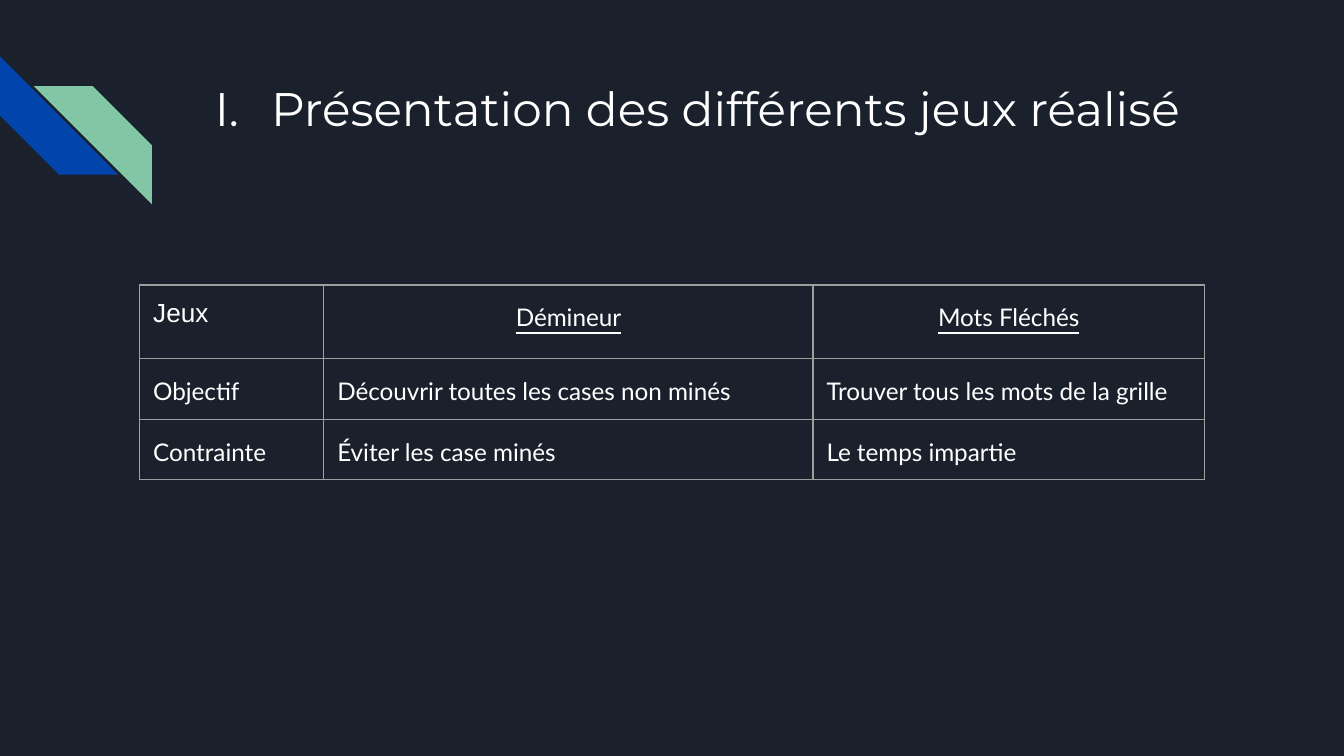
import pptx
import pptx.util
import pptx.dml.color
import pptx.enum.shapes
import pptx.enum.text
import pptx.oxml
import pptx.oxml.ns

Inches = pptx.util.Inches
COLORS = {
    "background": "1B212C",
    "blue": "0145AC",
    "green": "82C7A5",
    "text": "FFFFFF",
    "border": "9E9E9E",
}


def rgb(name):
    return pptx.dml.color.RGBColor.from_string(COLORS[name])


def style_font(paragraph, name, size):
    paragraph.font.name = name
    paragraph.font.size = pptx.util.Pt(size)
    paragraph.font.color.rgb = rgb("text")


presentation = pptx.Presentation()
presentation.slide_width = Inches(10)
presentation.slide_height = Inches(10 * 9 / 16)
slide = presentation.slides.add_slide(presentation.slide_layouts[6])
slide.background.fill.solid()
slide.background.fill.fore_color.rgb = rgb("background")

for left, top, rotation, color in [(0, 0.42, 270, "blue"), (0.25, 0.64, 90, "green")]:
    stripe = slide.shapes.add_shape(
        pptx.enum.shapes.MSO_SHAPE.DIAGONAL_STRIPE,
        Inches(left), Inches(top), Inches(0.88), Inches(0.88))
    stripe.rotation = rotation
    stripe.adjustments[0] = 0.5
    stripe.shadow.inherit = False
    stripe.fill.solid()
    stripe.fill.fore_color.rgb = rgb(color)
    stripe.line.fill.background()

title = slide.shapes.add_textbox(Inches(1.42), Inches(0.43), Inches(7.7), Inches(1))
title_frame = title.text_frame
title_frame.word_wrap = True
title_frame.margin_left = title_frame.margin_right = Inches(0.1)
title_frame.margin_top = title_frame.margin_bottom = Inches(0.1)
paragraph = title_frame.paragraphs[0]
paragraph.text = "Présentation des différents jeux réalisé"
paragraph.line_spacing = 1.15
style_font(paragraph, "Montserrat", 25.2)
properties = paragraph._p.get_or_add_pPr()
properties.set("marL", str(Inches(0.5)))
properties.set("indent", str(Inches(-0.42)))
namespace = pptx.oxml.ns.nsdecls("a")
bullet_color = pptx.oxml.parse_xml(
    f'<a:buClr {namespace}><a:srgbClr val="{COLORS["text"]}"/></a:buClr>')
bullet_font = pptx.oxml.parse_xml(f'<a:buFont {namespace} typeface="Montserrat"/>')
bullet_number = pptx.oxml.parse_xml(f'<a:buAutoNum {namespace} type="romanUcPeriod"/>')
position = list(properties).index(properties.find(pptx.oxml.ns.qn("a:defRPr")))
for offset, element in enumerate([bullet_color, bullet_font, bullet_number]):
    properties.insert(position + offset, element)

rows = [
    ["Jeux", "Démineur", "Mots Fléchés"],
    ["Objectif", "Découvrir toutes les cases non minés", "Trouver tous les mots de la grille"],
    ["Contrainte", "Éviter les case minés", "Le temps impartie"],
]
widths = [1.37, 3.64, 2.91]
heights = [0.55, 0.42, 0.42]
table = slide.shapes.add_table(
    len(rows), len(widths), Inches(1.04), Inches(2.12),
    Inches(sum(widths)), Inches(sum(heights))).table
table.first_row = False
table.horz_banding = False
for column, width in zip(table.columns, widths):
    column.width = Inches(width)
for row, height in zip(table.rows, heights):
    row.height = Inches(height)

for row_index, texts in enumerate(rows):
    for column_index, text in enumerate(texts):
        cell = table.cell(row_index, column_index)
        cell.margin_left = cell.margin_right = Inches(0.1)
        cell.margin_top = cell.margin_bottom = Inches(0.1)
        cell.fill.background()
        paragraph = cell.text_frame.paragraphs[0]
        paragraph.text = text
        if row_index == column_index == 0:
            style_font(paragraph, "Arial", 14)
        else:
            style_font(paragraph, "Lato", 13)
            paragraph.line_spacing = 1.15
            paragraph.space_after = pptx.util.Pt(12)
            if row_index == 0:
                paragraph.alignment = pptx.enum.text.PP_ALIGN.CENTER
                paragraph.font.underline = True
        cell_properties = cell._tc.get_or_add_tcPr()
        for index, side in enumerate(["lnL", "lnR", "lnT", "lnB"]):
            border = pptx.oxml.parse_xml(
                f'<a:{side} {namespace} w="{pptx.util.Pt(0.75)}"><a:solidFill>'
                f'<a:srgbClr val="{COLORS["border"]}"/></a:solidFill></a:{side}>')
            cell_properties.insert(index, border)

presentation.save("out.pptx")
